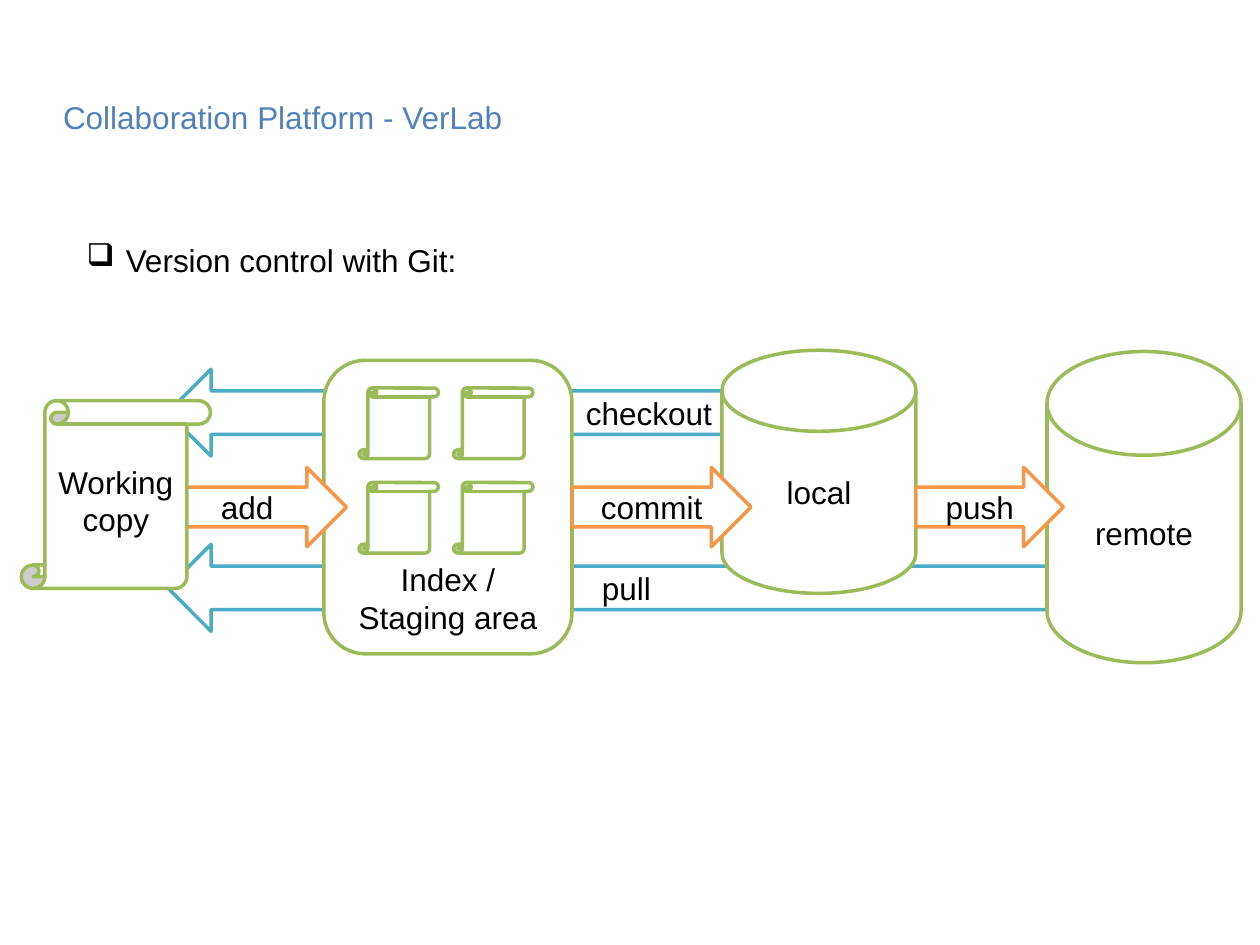
from dataclasses import dataclass

import pptx
import pptx.dml.color
import pptx.enum.shapes
import pptx.enum.text
import pptx.oxml
import pptx.oxml.ns
import pptx.util

SHAPE = pptx.enum.shapes.MSO_SHAPE
ALIGN = pptx.enum.text.PP_ALIGN
ANCHOR = pptx.enum.text.MSO_ANCHOR
COLUMNS, ROWS = 100, 75
WIDTH, HEIGHT = pptx.util.Inches(10), pptx.util.Inches(7.5)
BLACK, WHITE, BLUE = "000000", "FFFFFF", "4F81BD"
GREEN, TEAL, ORANGE = "9BBB59", "4BACC6", "F79646"


@dataclass(frozen=True)
class Box:
    left: float
    top: float
    width: float
    height: float


@dataclass(frozen=True)
class Node:
    kind: int
    box: Box
    line: str
    label: str = ""
    anchor: int = ANCHOR.MIDDLE
    align: int = ALIGN.CENTER
    right_inset: float = 1


def color(value: str) -> pptx.dml.color.RGBColor:
    return pptx.dml.color.RGBColor.from_string(value)


def across(columns: float) -> int:
    return round(WIDTH * columns / COLUMNS)


def down(rows: float) -> int:
    return round(HEIGHT * rows / ROWS)


def place(box: Box) -> tuple[int, int, int, int]:
    return across(box.left), down(box.top), across(box.width), down(box.height)


def add_run(paragraph, text: str, text_color: str = BLACK) -> None:
    run = paragraph.add_run()
    run.text = text
    run.font.name = "Arial"
    run.font.size = pptx.util.Pt(18)
    run.font.color.rgb = color(text_color)


def draw_title(slide, text: str) -> None:
    title = slide.shapes.title
    title.left, title.top, title.width, title.height = place(Box(5, 3, 90, 12.5))
    frame = title.text_frame
    frame.margin_left = frame.margin_right = frame.margin_top = frame.margin_bottom = 0
    frame.vertical_anchor = ANCHOR.MIDDLE
    frame.paragraphs[0].alignment = ALIGN.LEFT
    add_run(frame.paragraphs[0], text, BLUE)


def draw_bullet(slide, text: str) -> None:
    shape = slide.shapes.add_textbox(*place(Box(5.9, 18.6, 84.3, 7.1)))
    shape.text_frame.word_wrap = True
    paragraph = shape.text_frame.paragraphs[0]
    properties = paragraph._p.get_or_add_pPr()
    properties.set("marL", str(across(3.1)))
    properties.set("indent", str(-across(3.1)))
    bullet = pptx.oxml.parse_xml(f'<a:buChar {pptx.oxml.ns.nsdecls("a")} char="❑"/>')
    properties.append(bullet)
    add_run(paragraph, text)


def draw_node(group, node: Node) -> None:
    shape = group.shapes.add_shape(node.kind, *place(node.box))
    shape.shadow.inherit = False
    shape.fill.solid()
    shape.fill.fore_color.rgb = color(WHITE)
    shape.line.color.rgb = color(node.line)
    shape.line.width = pptx.util.Pt(2)
    if node.label:
        frame = shape.text_frame
        frame.word_wrap = True
        frame.vertical_anchor = node.anchor
        frame.margin_right = across(node.right_inset)
        frame.paragraphs[0].alignment = node.align
        add_run(frame.paragraphs[0], node.label)


def workflow() -> list[Node]:
    """List the version control diagram from back to front."""
    back, forward = SHAPE.LEFT_ARROW, SHAPE.RIGHT_ARROW
    disk, scroll = SHAPE.FLOWCHART_MAGNETIC_DISK, SHAPE.VERTICAL_SCROLL
    files = [
        Node(scroll, Box(28.5 + 7.5 * column, 30.8 + 7.5 * row, 6.3, 5.6), GREEN)
        for row in range(2)
        for column in range(2)
    ]
    steps = [
        Node(forward, Box(left, 37.1, width, 6.3), ORANGE, label)
        for left, width, label in (
            (13.3, 14.2, "add"),
            (45.4, 14.2, "commit"),
            (72.7, 11.7, "push"),
        )
    ]
    return [
        Node(back, Box(13.3, 29.3, 46.2, 6.9), TEAL, "checkout",
             align=ALIGN.RIGHT, right_inset=3),
        Node(back, Box(13.3, 43.2, 71.1, 6.9), TEAL, "pull"),
        Node(disk, Box(83.1, 27.9, 15.4, 24.7), GREEN, "remote"),
        Node(disk, Box(57.3, 27.8, 15.4, 19.3), GREEN, "local"),
        Node(SHAPE.ROUNDED_RECTANGLE, Box(25.7, 28.6, 19.7, 23.3), GREEN,
             "Index / Staging area", ANCHOR.BOTTOM),
        *files,
        *steps,
        Node(scroll, Box(1.7, 31.8, 15, 14.9), GREEN, "Working copy"),
    ]


def main() -> None:
    presentation = pptx.Presentation()
    presentation.slide_width, presentation.slide_height = WIDTH, HEIGHT
    slide = presentation.slides.add_slide(presentation.slide_layouts[5])
    draw_title(slide, "Collaboration Platform - VerLab")
    draw_bullet(slide, "Version control with Git:")
    group = slide.shapes.add_group_shape()
    for node in workflow():
        draw_node(group, node)
    presentation.save("out.pptx")


if __name__ == "__main__":
    main()
